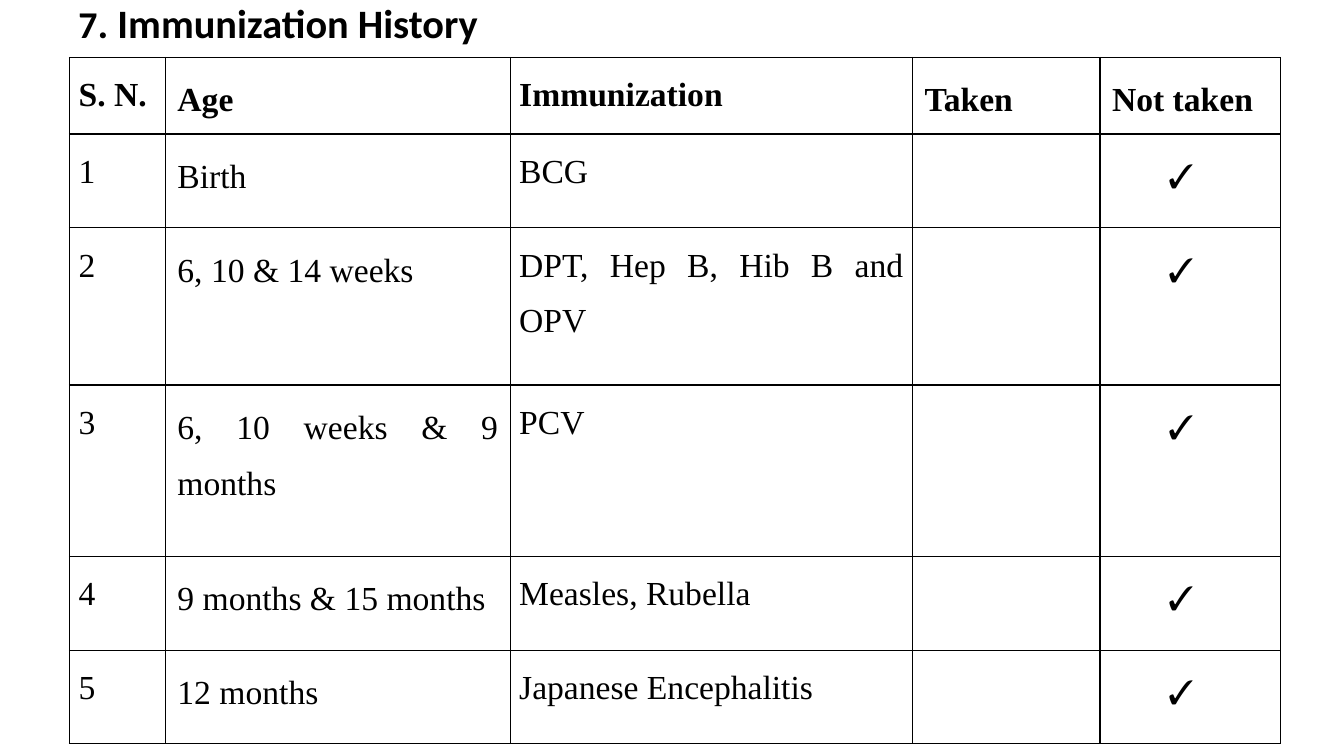
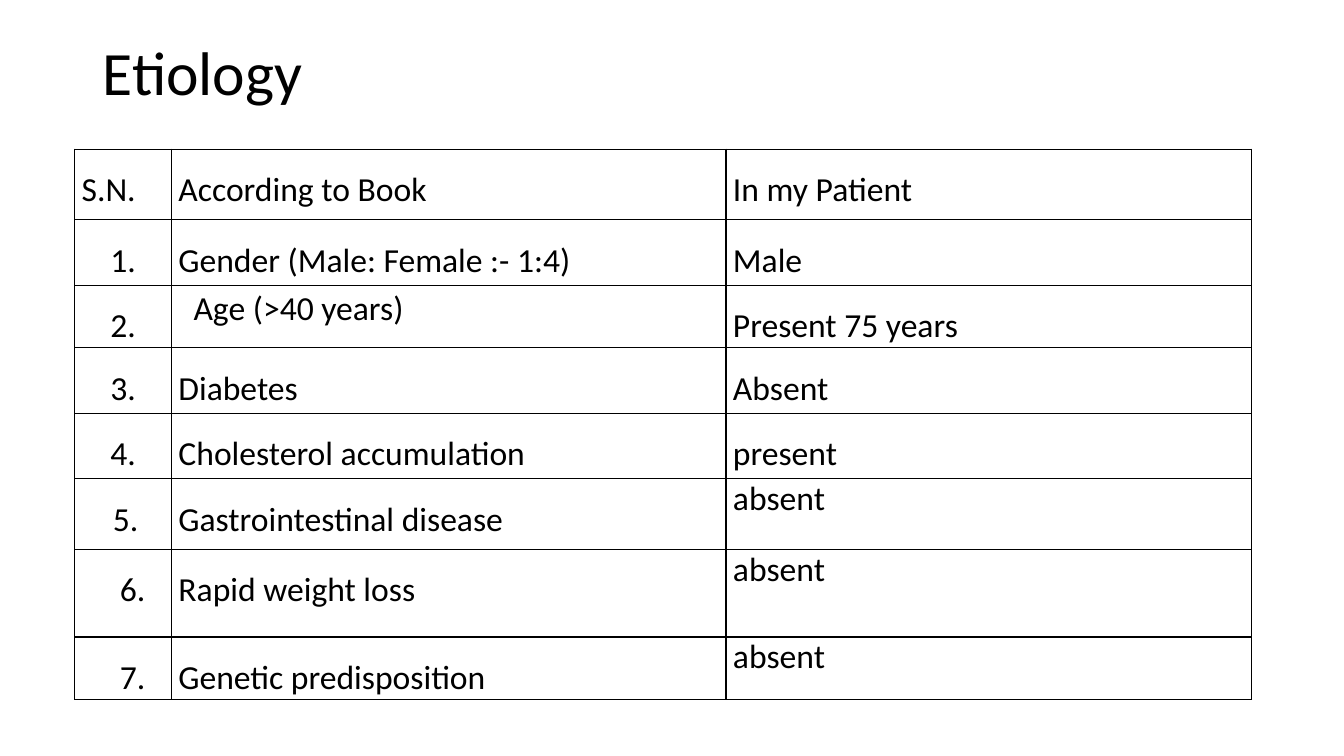
from dataclasses import dataclass

from pptx import Presentation
from pptx.dml.color import RGBColor
from pptx.enum.text import MSO_ANCHOR, PP_ALIGN
from pptx.oxml.ns import qn
from pptx.util import Pt
from lxml import etree

LEFT, CENTER, JUSTIFY = PP_ALIGN.LEFT, PP_ALIGN.CENTER, PP_ALIGN.JUSTIFY
MIDDLE = MSO_ANCHOR.MIDDLE
EMU_PER_PX = 9144
BLACK = "000000"
SANS, SERIF = "Calibri", "Times New Roman"
BORDER_TAGS = ("a:lnL", "a:lnR", "a:lnT", "a:lnB")
TICK = "✓"


def px(length):
    return length * EMU_PER_PX


def rgb(color):
    return RGBColor.from_string(color)


@dataclass
class TextStyle:
    font: str = SANS
    size: float = 24
    bold: bool = False
    align: PP_ALIGN = LEFT
    spacing: float = 1.5
    indent: int = 0
    inset: tuple = (7, 0, 7, 0)


class Deck:
    def __init__(self, width, height):
        self.presentation = Presentation()
        self.presentation.slide_width = px(width)
        self.presentation.slide_height = px(height)
        self.page = None

    def add_page(self):
        self.page = self.presentation.slides.add_slide(self.presentation.slide_layouts[6])

    def format_para(self, para, style):
        para.alignment = style.align
        para.line_spacing = style.spacing
        font = para.font
        font.name, font.size, font.bold = style.font, Pt(style.size), style.bold
        font.color.rgb = rgb(BLACK)
        if style.indent:
            para._p.get_or_add_pPr().set("marL", str(px(style.indent)))

    def title(self, left, top, width, height, spans, bold=False):
        box = self.page.shapes.add_textbox(px(left), px(top), px(width), px(height))
        frame = box.text_frame
        frame.word_wrap = True
        frame.vertical_anchor = MIDDLE
        frame.margin_top = frame.margin_bottom = 0
        para = frame.paragraphs[0]
        self.format_para(para, TextStyle(bold=bold, spacing=0.9))
        for text, size in spans:
            span = para.add_run()
            span.text = text
            span.font.size = Pt(size)

    def borders(self, cell):
        properties = cell._tc.get_or_add_tcPr()
        for position, tag in enumerate(BORDER_TAGS):
            line = etree.Element(qn(tag), w=str(Pt(1)))
            fill = etree.SubElement(line, qn("a:solidFill"))
            etree.SubElement(fill, qn("a:srgbClr"), val=BLACK)
            properties.insert(position, line)

    def table(self, left, top, widths, heights, rows, style_at):
        frame = self.page.shapes.add_table(
            len(heights), len(widths), px(left), px(top), px(sum(widths)), px(sum(heights))
        )
        table = frame.table
        table.first_row = table.horz_banding = False
        for column, width in zip(table.columns, widths):
            column.width = px(width)
        for row, height in zip(table.rows, heights):
            row.height = px(height)
        for row_index, texts in enumerate(rows):
            for column_index, text in enumerate(texts):
                cell = table.cell(row_index, column_index)
                style = style_at(row_index, column_index)
                cell.margin_left, cell.margin_top, cell.margin_right, cell.margin_bottom = map(
                    px, style.inset
                )
                cell.fill.background()
                self.borders(cell)
                cell.text = text
                self.format_para(cell.text_frame.paragraphs[0], style)


def immunization_style(row, column):
    return TextStyle(
        font=SERIF,
        bold=row == 0,
        align=JUSTIFY,
        indent=56 if row and column == 4 else 0,
        inset=(9, 1, 9, 0) if column in (0, 2) else (12, 6, 12, 6),
    )


def etiology_style(row, column):
    if column == 0 and row >= 5:
        return TextStyle(align=JUSTIFY, indent=31 if row == 5 else 38)
    if column == 0 and row:
        return TextStyle(align=CENTER)
    if column == 1 and row == 2:
        return TextStyle(align=JUSTIFY, spacing=1.07, indent=15)
    if column == 2 and row >= 5:
        return TextStyle(spacing=1)
    return TextStyle()


def immunization_page(deck):
    deck.add_page()
    deck.title(68, 0, 1167, 50, [("7", 27), (". Immunization History", 28.8)], bold=True)
    vaccines = [
        ("Birth", "BCG"),
        ("6, 10 & 14 weeks", "DPT, Hep B, Hib B and OPV"),
        ("6, 10 weeks & 9 months", "PCV"),
        ("9 months & 15 months", "Measles, Rubella"),
        ("12 months", "Japanese Encephalitis"),
    ]
    rows = [("S. N.", "Age", "Immunization", "Taken", "Not taken")]
    rows += [(str(number), age, name, "", TICK) for number, (age, name) in enumerate(vaccines, 1)]
    deck.table(
        69, 57, [95, 342, 399, 186, 179], [76, 93, 156, 170, 93, 93], rows, immunization_style
    )


def etiology_page(deck):
    deck.add_page()
    deck.title(92, 25, 1150, 100, [("Etiology", 44)])
    causes = [
        ("Gender (Male: Female :- 1:4)", "Male"),
        ("Age (>40 years)", "Present 75 years"),
        ("Diabetes", "Absent"),
        ("Cholesterol accumulation", "present"),
        ("Gastrointestinal disease", "absent"),
        ("Rapid weight loss", "absent"),
        ("Genetic predisposition", "absent"),
    ]
    rows = [("S.N.", "According to Book", "In my Patient")]
    rows += [(f"{number}.", cause, finding) for number, (cause, finding) in enumerate(causes, 1)]
    deck.table(74, 148, [96, 550, 521], [70, 65, 62, 65, 65, 70, 87, 62], rows, etiology_style)


def main():
    deck = Deck(1333, 750)
    immunization_page(deck)
    etiology_page(deck)
    deck.presentation.save("out.pptx")


if __name__ == "__main__":
    main()
